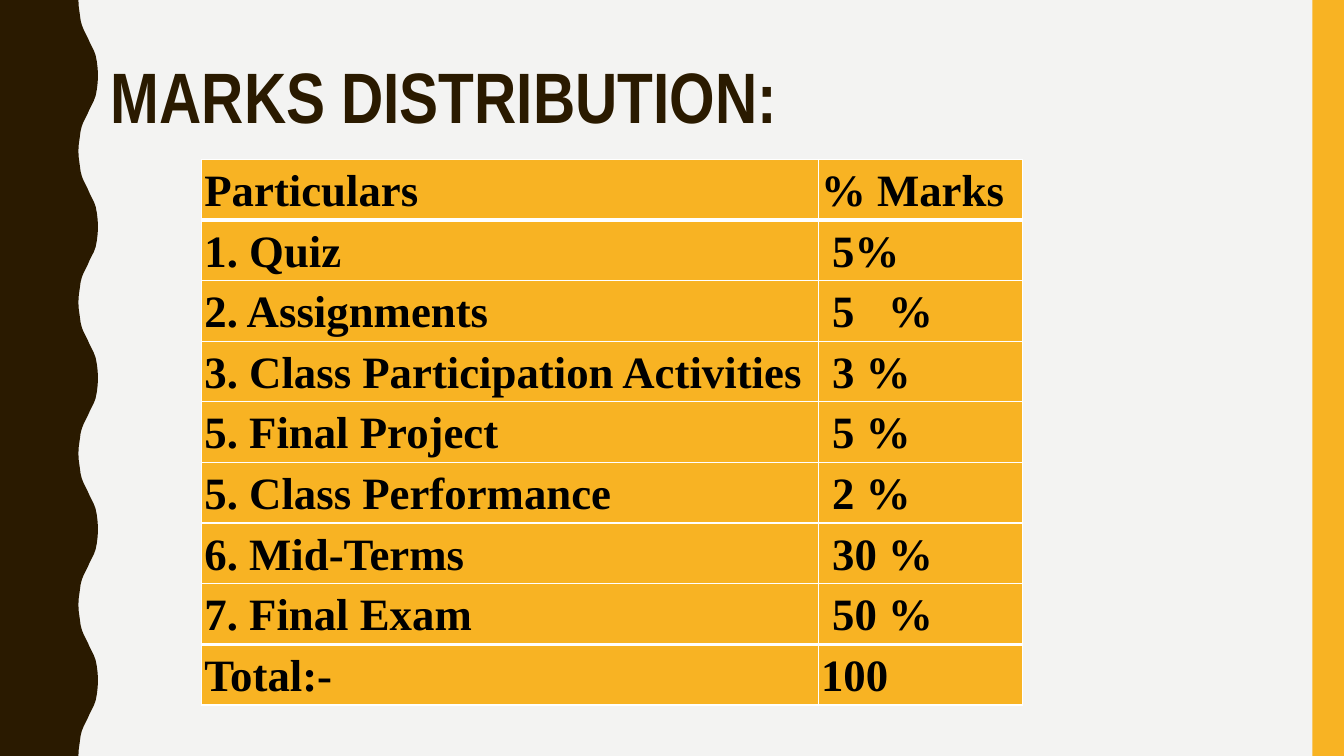
from lxml import etree
from pptx import Presentation
from pptx.dml.color import RGBColor
from pptx.enum import shapes, text
from pptx.oxml import ns
from pptx.util import Pt

WIDTH, HEIGHT = 960, 540
BROWN, GOLD, PALE, WHITE, BLACK = "2A1A00", "F8B323", "F3F3F2", "FFFFFF", "000000"
WAVE_PERIOD = 108
HALF_WAVE = [
    (56, 0), (56.3, 5), (57, 10), (57.6, 14.5), (58.5, 18),
    (59.7, 21), (61.2, 24), (62.7, 27), (64, 30), (65.5, 33),
    (67, 36), (68.3, 39.5), (69.2, 44), (69.8, 49), (70, 54),
]
MARKS = [
    ("Particulars", "% Marks"),
    ("1. Quiz", "5%"),
    ("2. Assignments", "5\t%"),
    ("3. Class Participation Activities", "3 %"),
    ("5. Final Project", "5 %"),
    ("5. Class Performance", "2 %"),
    ("6. Mid-Terms", "30 %"),
    ("7. Final Exam", "50 %"),
    ("Total:-", "100"),
]
COLUMN_WIDTHS = (440.5, 146)
ROW_HEIGHT = 43.34


def paint(fill, color):
    """Make a fill solid in the given hex colour."""
    fill.solid()
    fill.fore_color.rgb = RGBColor.from_string(color)


def write(frame, words, *, font, size, color, spacing):
    """Write one bold, left-aligned paragraph into a text frame."""
    paragraph = frame.paragraphs[0]
    paragraph.alignment = text.PP_ALIGN.LEFT
    paragraph.line_spacing = spacing
    run = paragraph.add_run()
    run.text = words
    run.font.name, run.font.size, run.font.bold = font, Pt(size), True
    run.font.color.rgb = RGBColor.from_string(color)
    return paragraph


def finish(shape, color):
    """Give a shape a plain fill with no outline or shadow."""
    paint(shape.fill, color)
    shape.line.fill.background()
    shape.shadow.inherit = False


def add_wave(slide):
    """Draw the wavy band along the left edge."""
    period = HALF_WAVE + [(x, WAVE_PERIOD - y) for x, y in HALF_WAVE[-2::-1]]
    edge = [(x, y + top) for top in range(0, HEIGHT, WAVE_PERIOD) for x, y in period]
    builder = slide.shapes.build_freeform(0, 0)
    builder.add_line_segments([(Pt(x), Pt(y)) for x, y in edge + [(0, HEIGHT)]])
    finish(builder.convert_to_shape(), BROWN)


def add_bar(slide):
    """Draw the straight bar along the right edge."""
    bar = slide.shapes.add_shape(
        shapes.MSO_SHAPE.RECTANGLE, Pt(937.5), 0, Pt(22.5), Pt(HEIGHT))
    finish(bar, GOLD)


def add_title(slide):
    """Place and format the title."""
    title = slide.shapes.title
    title.left, title.top, title.width, title.height = Pt(72), Pt(39.5), Pt(658), Pt(65)
    frame = title.text_frame
    frame.auto_size = text.MSO_AUTO_SIZE.NONE
    frame.vertical_anchor = text.MSO_ANCHOR.MIDDLE
    write(frame, "MARKS DISTRIBUTION:", font="Arial Narrow", size=51,
          color=BROWN, spacing=0.9)


def add_border(cell, side, width):
    """Add a white border to one side of a cell."""
    properties = cell._tc.get_or_add_tcPr()
    line = etree.SubElement(properties, ns.qn(f"a:ln{side}"), w=str(Pt(width)))
    fill = etree.SubElement(line, ns.qn("a:solidFill"))
    etree.SubElement(fill, ns.qn("a:srgbClr"), val=WHITE)


def add_tab_stop(paragraph, position):
    """Add a left tab stop to a paragraph."""
    properties = paragraph._p.get_or_add_pPr()
    stops = etree.SubElement(properties, ns.qn("a:tabLst"))
    etree.SubElement(stops, ns.qn("a:tab"), pos=str(Pt(position)), algn="l")


def fill_cell(cell, words, *, indent, top, bottom):
    """Format one table cell and write its text."""
    for side, width in (("L", 1), ("R", 1), ("T", top), ("B", bottom)):
        add_border(cell, side, width)
    paint(cell.fill, GOLD)
    cell.vertical_anchor = text.MSO_ANCHOR.MIDDLE
    cell.margin_left, cell.margin_right = Pt(2 + indent), Pt(2)
    cell.margin_top = cell.margin_bottom = 0
    paragraph = write(cell.text_frame, words, font="Times New Roman", size=32,
                      color=BLACK, spacing=1.07)
    if "\t" in words:
        add_tab_stop(paragraph, 40)


def add_marks_table(slide):
    """Build the table of marks."""
    last = len(MARKS) - 1
    table = slide.shapes.add_table(
        len(MARKS), len(COLUMN_WIDTHS), Pt(144), Pt(113.75),
        Pt(sum(COLUMN_WIDTHS)), Pt(ROW_HEIGHT * len(MARKS))).table
    for column, width in zip(table.columns, COLUMN_WIDTHS):
        column.width = Pt(width)
    for row, entries in enumerate(MARKS):
        table.rows[row].height = Pt(ROW_HEIGHT)
        for column, words in enumerate(entries):
            fill_cell(table.cell(row, column), words,
                      indent=8 if column == 1 and 0 < row < last else 0,
                      top=3 if row in (1, last) else 1,
                      bottom=3 if row in (0, last - 1) else 1)


def main():
    """Build and save the slide."""
    presentation = Presentation()
    presentation.slide_width, presentation.slide_height = Pt(WIDTH), Pt(HEIGHT)
    slide = presentation.slides.add_slide(presentation.slide_layouts[5])
    paint(slide.background.fill, PALE)
    add_wave(slide)
    add_bar(slide)
    add_title(slide)
    add_marks_table(slide)
    presentation.save("out.pptx")


main()
